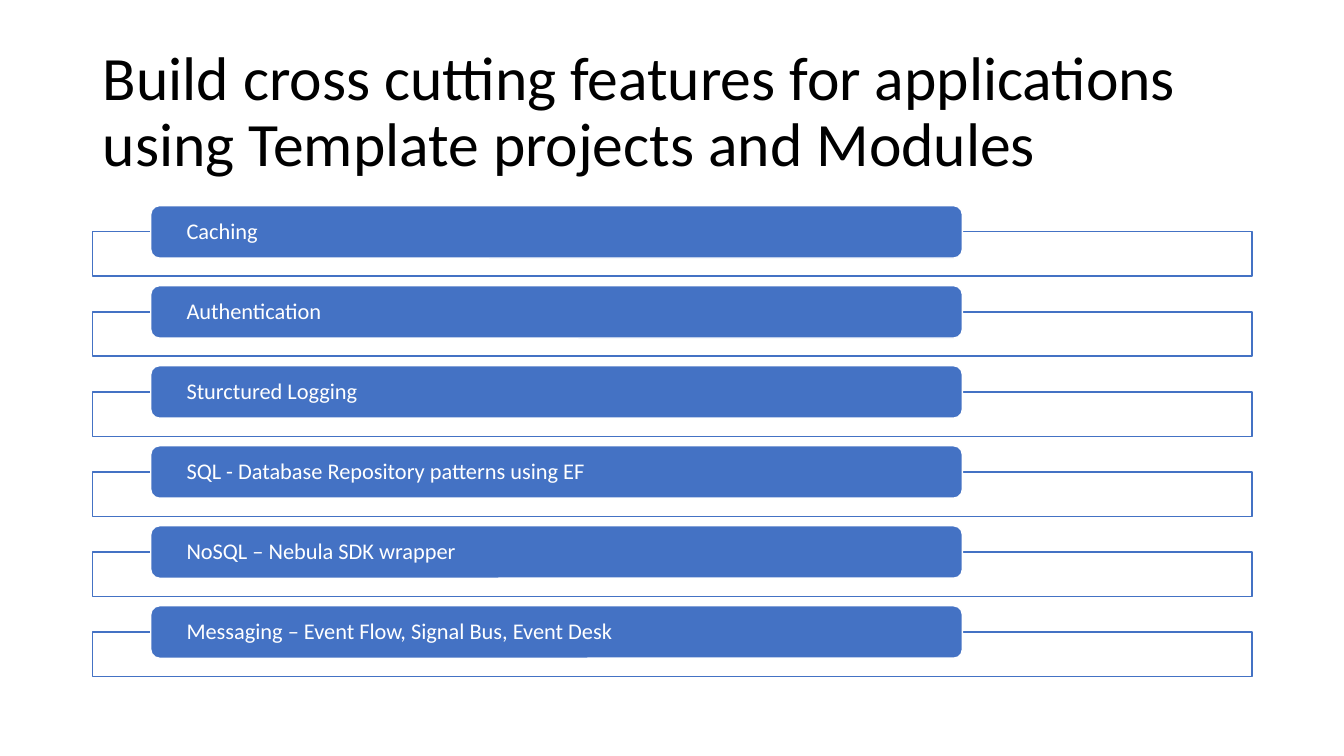
import pptx
import pptx.util
import pptx.dml.color
import pptx.enum.shapes
import pptx.enum.text

TITLE = "Build cross cutting features for applications using Template projects and Modules"
FEATURES = [
    "Caching",
    "Authentication",
    "Sturctured Logging",
    "SQL - Database Repository patterns using EF",
    "NoSQL – Nebula SDK wrapper",
    "Messaging – Event Flow, Signal Bus, Event Desk",
]
COLORS = {"accent": "4472C4", "white": "FFFFFF", "black": "000000"}
FONT = "Calibri"

WIDTH, HEIGHT = 13.33, 7.5
MARGIN = 0.92
CONTENT_W = 11.5
TITLE_TOP, TITLE_H = 0.4, 1.45
ROWS_TOP, ROW_PITCH = 2.04, 0.794
LABEL_H, FRAME_H = 0.52, 0.44
LABEL_INDENT = CONTENT_W * 0.05
LABEL_W = CONTENT_W * 0.7
LABEL_INSET = 0.33

Inches = pptx.util.Inches
Pt = pptx.util.Pt
SHAPES = pptx.enum.shapes.MSO_SHAPE


def rgb(name):
    return pptx.dml.color.RGBColor.from_string(COLORS[name])


def write(sp, text, size, color, inset=0.1, inset_y=0.0):
    tf = sp.text_frame
    tf.word_wrap = True
    tf.auto_size = pptx.enum.text.MSO_AUTO_SIZE.NONE
    tf.vertical_anchor = pptx.enum.text.MSO_ANCHOR.MIDDLE
    tf.margin_left = tf.margin_right = Inches(inset)
    tf.margin_top = tf.margin_bottom = Inches(inset_y)
    p = tf.paragraphs[0]
    p.alignment = pptx.enum.text.PP_ALIGN.LEFT
    p.line_spacing = 0.9
    r = p.add_run()
    r.text = text
    r.font.name = FONT
    r.font.size = Pt(size)
    r.font.color.rgb = rgb(color)


def add_box(slide, kind, left, top, width, height, fill, line):
    sp = slide.shapes.add_shape(
        kind, Inches(left), Inches(top), Inches(width), Inches(height))
    sp.shadow.inherit = False
    sp.fill.solid()
    sp.fill.fore_color.rgb = rgb(fill)
    sp.line.color.rgb = rgb(line)
    sp.line.width = Pt(1)
    return sp


def main():
    prs = pptx.Presentation()
    prs.slide_width, prs.slide_height = Inches(WIDTH), Inches(HEIGHT)
    slide = prs.slides.add_slide(prs.slide_layouts.get_by_name("Title Only"))

    title = slide.shapes.title
    title.left, title.top = Inches(MARGIN), Inches(TITLE_TOP)
    title.width, title.height = Inches(CONTENT_W), Inches(TITLE_H)
    write(title, TITLE, 44, "black", inset_y=0.05)

    for i, feature in enumerate(FEATURES):
        top = ROWS_TOP + i * ROW_PITCH
        add_box(slide, SHAPES.RECTANGLE, MARGIN, top + LABEL_H / 2,
                CONTENT_W, FRAME_H, "white", "accent")
        label = add_box(slide, SHAPES.ROUNDED_RECTANGLE, MARGIN + LABEL_INDENT, top,
                        LABEL_W, LABEL_H, "accent", "white")
        write(label, feature, 16, "white", inset=LABEL_INSET)

    prs.save("out.pptx")


if __name__ == "__main__":
    main()
